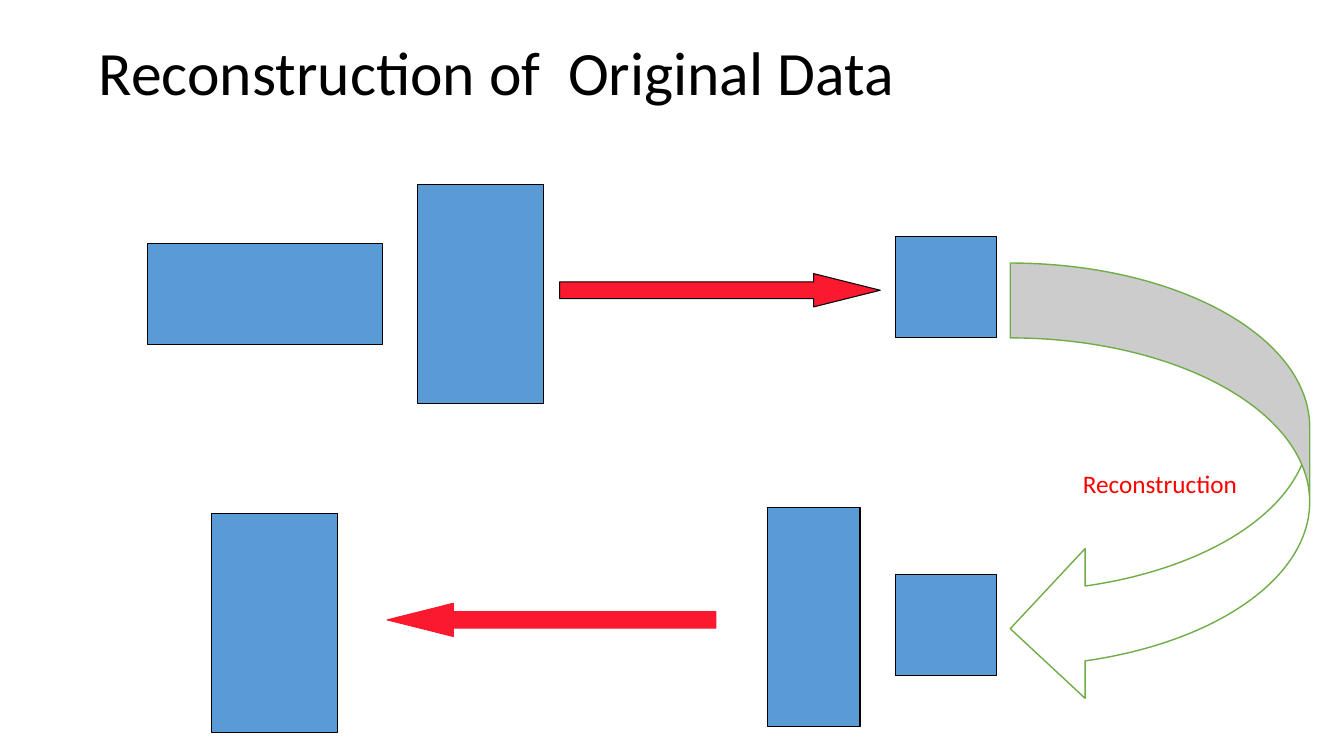
from pptx import Presentation
from pptx.dml.color import RGBColor
from pptx.enum.shapes import MSO_SHAPE
from pptx.enum.text import MSO_ANCHOR, MSO_AUTO_SIZE, PP_ALIGN
from pptx.util import Inches, Pt

BLACK = RGBColor(0x00, 0x00, 0x00)
WHITE = RGBColor(0xFF, 0xFF, 0xFF)
BLUE = RGBColor(0x5B, 0x9B, 0xD5)
CRIMSON = RGBColor(0xFB, 0x19, 0x2F)
RED = RGBColor(0xFF, 0x00, 0x00)
GREEN = RGBColor(0x70, 0xAD, 0x47)

# Content
TITLE = "Reconstruction of  Original Data"
TURN_LABEL = "Reconstruction"
TITLE_FORMAT = {"name": "Calibri", "size": Pt(44)}
LABEL_FORMAT = {"name": "Calibri", "size": Pt(18)}

# Matrix sizes: width, height
WIDE, TALL, NARROW, SQUARE = (2.33, 1), (1.25, 2.17), (0.92, 2.17), (1, 1)
SQUARE_COLUMN = 8.88

# Each row: middle line, then (left edge, size, offset from the middle line)
REDUCTION_ROW = 2.88
REDUCTION_MATRICES = [(1.46, WIDE, 0.04), (4.14, TALL, 0.04),
                      (SQUARE_COLUMN, SQUARE, -0.03)]
RECONSTRUCTION_ROW = 6.15
RECONSTRUCTION_MATRICES = [(SQUARE_COLUMN, SQUARE, 0.05), (7.61, NARROW, -0.03),
                           (2.1, TALL, 0.03)]

# Straight arrows: preset, left edge, length, middle line, head ratio, line colour
ARROW_THICKNESS = 0.33
ARROWS = [(MSO_SHAPE.RIGHT_ARROW, 5.55, 3.18, REDUCTION_ROW, 2, BLACK),
          (MSO_SHAPE.LEFT_ARROW, 3.84, 3.26, RECONSTRUCTION_ROW, 1.99, CRIMSON)]

# Turn from the upper row to the lower one
RIGHT_EDGE = 12.99
TURN_LEFT, TURN_TOP, TURN_HEIGHT = 10.02, 2.61, 4.37


def set_font(font, values, color):
    for key, value in values.items():
        setattr(font, key, value)
    font.color.rgb = color


def add_figure(slide, preset, left, top, width, height, fill, line, weight=0.75):
    figure = slide.shapes.add_shape(
        preset, Inches(left), Inches(top), Inches(width), Inches(height))
    figure.shadow.inherit = False
    figure.fill.solid()
    figure.fill.fore_color.rgb = fill
    figure.line.color.rgb = line
    figure.line.width = Pt(weight)
    return figure


def main():
    deck = Presentation()
    deck.slide_width, deck.slide_height = Inches(13.33), Inches(7.5)
    slide = deck.slides.add_slide(deck.slide_layouts[5])

    # Title
    title = slide.shapes.title
    title.left, title.top = Inches(0.88), Inches(0.29)
    title.width, title.height = Inches(RIGHT_EDGE - 0.88), Inches(0.92)
    frame = title.text_frame
    frame.text = TITLE
    frame.auto_size = MSO_AUTO_SIZE.NONE
    frame.vertical_anchor = MSO_ANCHOR.MIDDLE
    heading = frame.paragraphs[0]
    heading.alignment = PP_ALIGN.LEFT
    heading.line_spacing = 0.9
    set_font(heading.runs[0].font, TITLE_FORMAT, BLACK)

    # Matrices, centred on their row
    for row, matrices in ((REDUCTION_ROW, REDUCTION_MATRICES),
                          (RECONSTRUCTION_ROW, RECONSTRUCTION_MATRICES)):
        for left, (width, height), offset in matrices:
            add_figure(slide, MSO_SHAPE.RECTANGLE, left, row + offset - height / 2,
                       width, height, BLUE, BLACK)

    # Straight arrows
    for preset, left, length, row, head, line in ARROWS:
        arrow = add_figure(slide, preset, left, row - ARROW_THICKNESS / 2,
                           length, ARROW_THICKNESS, CRIMSON, line)
        arrow.adjustments[0] = 0.5
        arrow.adjustments[1] = head

    # Curved arrow with its label
    turn = add_figure(slide, MSO_SHAPE.CURVED_LEFT_ARROW, TURN_LEFT, TURN_TOP,
                      RIGHT_EDGE - TURN_LEFT, TURN_HEIGHT, WHITE, GREEN, 1)
    turn.text_frame.text = TURN_LABEL
    turn.text_frame.vertical_anchor = MSO_ANCHOR.MIDDLE
    label = turn.text_frame.paragraphs[0]
    label.alignment = PP_ALIGN.CENTER
    set_font(label.runs[0].font, LABEL_FORMAT, RED)

    deck.save("out.pptx")


if __name__ == "__main__":
    main()
